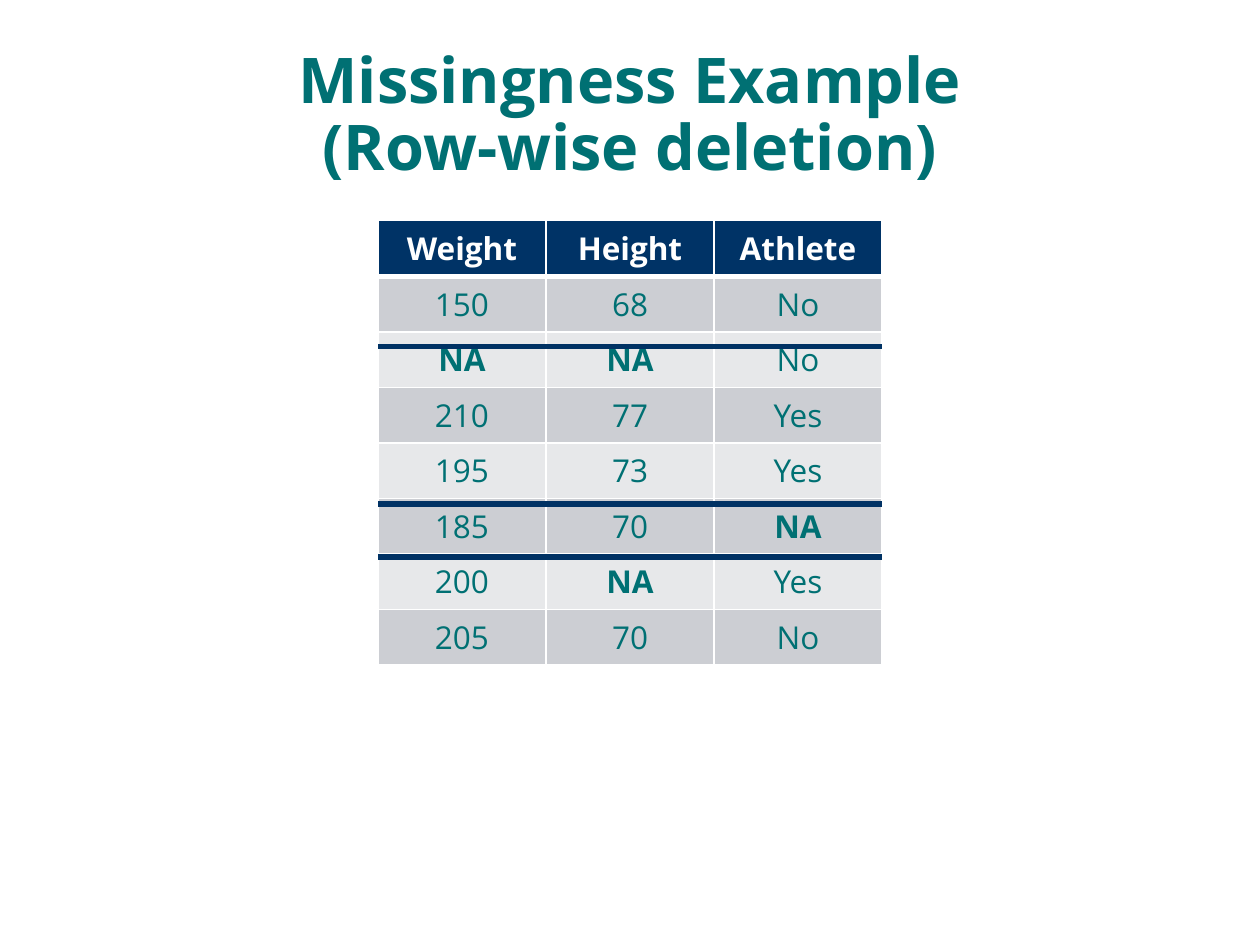
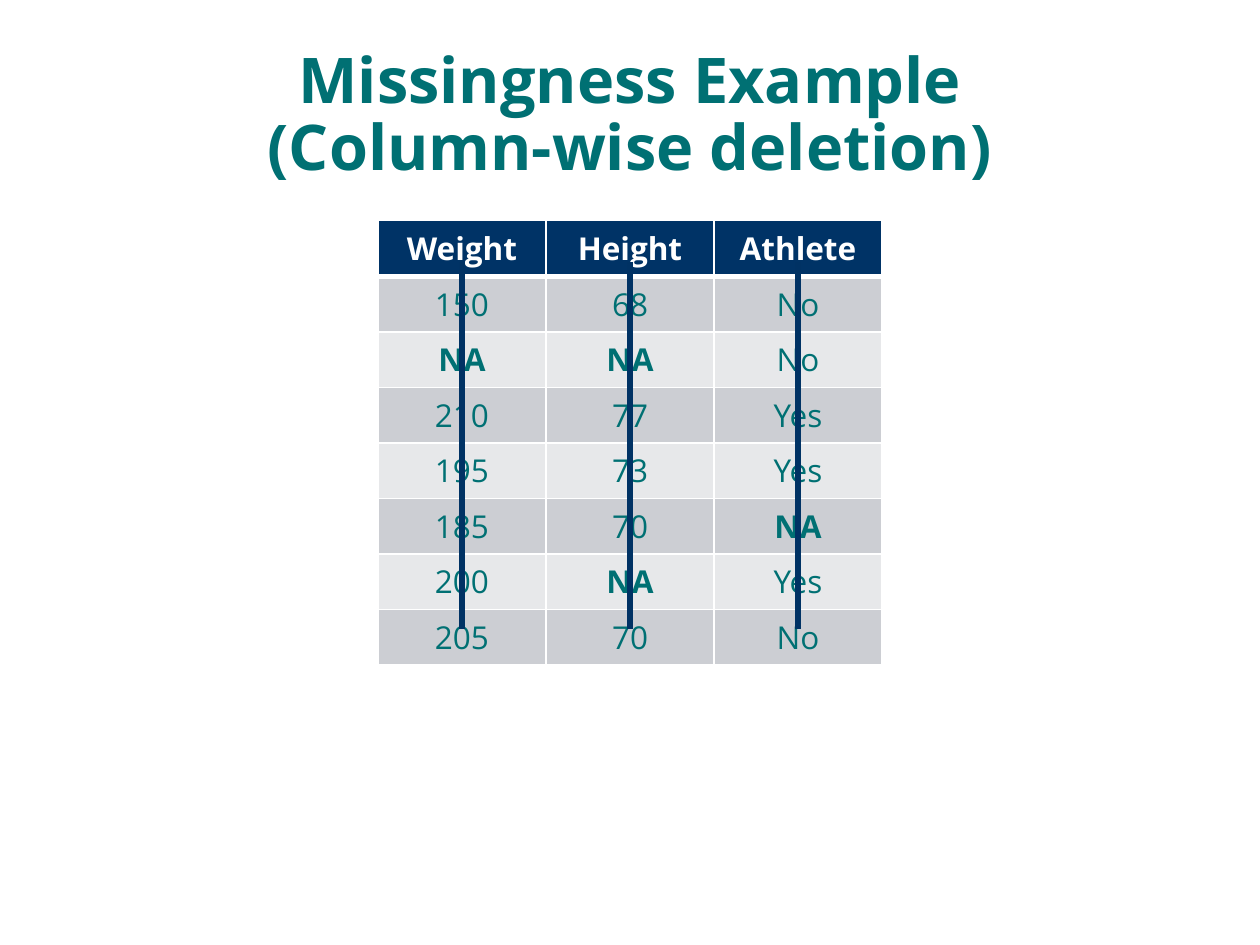
from typing import NamedTuple

from lxml.etree import SubElement
from pptx import Presentation
from pptx.dml.color import RGBColor
from pptx.enum.shapes import MSO_CONNECTOR
from pptx.enum.text import MSO_ANCHOR, MSO_AUTO_SIZE, PP_ALIGN
from pptx.oxml.ns import qn
from pptx.slide import Slide
from pptx.table import _Cell
from pptx.text.text import _Paragraph
from pptx.util import Cm, Pt

COLORS = {
    "teal": "007073",
    "header": "003366",
    "strike": "003264",
    "odd_row": "CCCED3",
    "even_row": "E7E8EA",
    "white": "FFFFFF",
}
FONT = "Open Sans"

RECORDS = [
    ("Weight", "Height", "Athlete"),
    ("150", "68", "No"),
    ("NA", "NA", "No"),
    ("210", "77", "Yes"),
    ("195", "73", "Yes"),
    ("185", "70", "NA"),
    ("200", "NA", "Yes"),
    ("205", "70", "No"),
]

# Table grid, in centimetres
LEFT, TOP = 7.62, 4.45
COLUMN_WIDTH, ROW_HEIGHT = 3.387, 1.03
RIGHT = LEFT + 3 * COLUMN_WIDTH
STRIKE_TOP, STRIKE_BOTTOM = 5.28, 12.67


class Strike(NamedTuple):
    """A line through deleted data, with its ends in centimetres."""
    x1: float
    y1: float
    x2: float
    y2: float


class Example(NamedTuple):
    method: str
    strikes: list[Strike]


ROW_STRIKES = [Strike(LEFT, y, RIGHT, y) for y in (6.99, 10.16, 11.23)]
COLUMN_STRIKES = [
    Strike(x, STRIKE_TOP, x, STRIKE_BOTTOM)
    for x in (LEFT + (column + 0.5) * COLUMN_WIDTH for column in range(3))
]
EXAMPLES = [
    Example("Row-wise", ROW_STRIKES),
    Example("Column-wise", COLUMN_STRIKES),
]


def rgb(name: str) -> RGBColor:
    return RGBColor.from_string(COLORS[name])


def style_text(paragraph: _Paragraph, size: float, color: str, bold: bool) -> None:
    paragraph.alignment = PP_ALIGN.CENTER
    font = paragraph.font
    font.name, font.size, font.bold = FONT, Pt(size), bold
    font.color.rgb = rgb(color)


def add_title(slide: Slide, method: str) -> None:
    title = slide.shapes.title
    title.left, title.top = Cm(1.27), Cm(0.76)
    title.width, title.height = Cm(22.86), Cm(3.18)
    frame = title.text_frame
    frame.text = f"Missingness Example\v({method} deletion)"
    frame.auto_size = MSO_AUTO_SIZE.NONE
    frame.vertical_anchor = MSO_ANCHOR.MIDDLE
    heading = frame.paragraphs[0]
    heading.line_spacing = 0.89
    style_text(heading, 36, "teal", True)


def set_borders(cell: _Cell, row: int) -> None:
    """Draw white borders, with a thicker one between header and data."""
    properties = cell._tc.get_or_add_tcPr()
    widths = {"L": 1, "R": 1, "T": 3 if row == 1 else 1, "B": 3 if row == 0 else 1}
    for position, (side, width) in enumerate(widths.items()):
        line = properties.makeelement(qn(f"a:ln{side}"), {"w": str(Pt(width))})
        fill = SubElement(line, qn("a:solidFill"))
        SubElement(fill, qn("a:srgbClr"), val=COLORS["white"])
        properties.insert(position, line)


def add_records(slide: Slide) -> None:
    rows, columns = len(RECORDS), len(RECORDS[0])
    table = slide.shapes.add_table(
        rows, columns, Cm(LEFT), Cm(TOP),
        Cm(columns * COLUMN_WIDTH), Cm(rows * ROW_HEIGHT),
    ).table
    table.horz_banding = False
    for row, record in enumerate(RECORDS):
        is_header = row == 0
        band = "header" if is_header else "odd_row" if row % 2 else "even_row"
        for column, value in enumerate(record):
            cell = table.cell(row, column)
            cell.text = value
            cell.fill.solid()
            cell.fill.fore_color.rgb = rgb(band)
            set_borders(cell, row)
            style_text(cell.text_frame.paragraphs[0], 18,
                       "white" if is_header else "teal",
                       is_header or value == "NA")


def add_strike(slide: Slide, strike: Strike) -> None:
    connector = slide.shapes.add_connector(
        MSO_CONNECTOR.STRAIGHT, *(Cm(length) for length in strike))
    connector.line.color.rgb = rgb("strike")
    connector.line.width = Pt(3)
    SubElement(connector._element.spPr, qn("a:effectLst"))


def main() -> None:
    deck = Presentation()
    deck.slide_width, deck.slide_height = Cm(25.4), Cm(19.05)
    title_only = deck.slide_layouts[5]
    for example in EXAMPLES:
        slide = deck.slides.add_slide(title_only)
        add_title(slide, example.method)
        add_records(slide)
        for strike in example.strikes:
            add_strike(slide, strike)
    deck.save("out.pptx")


if __name__ == "__main__":
    main()
